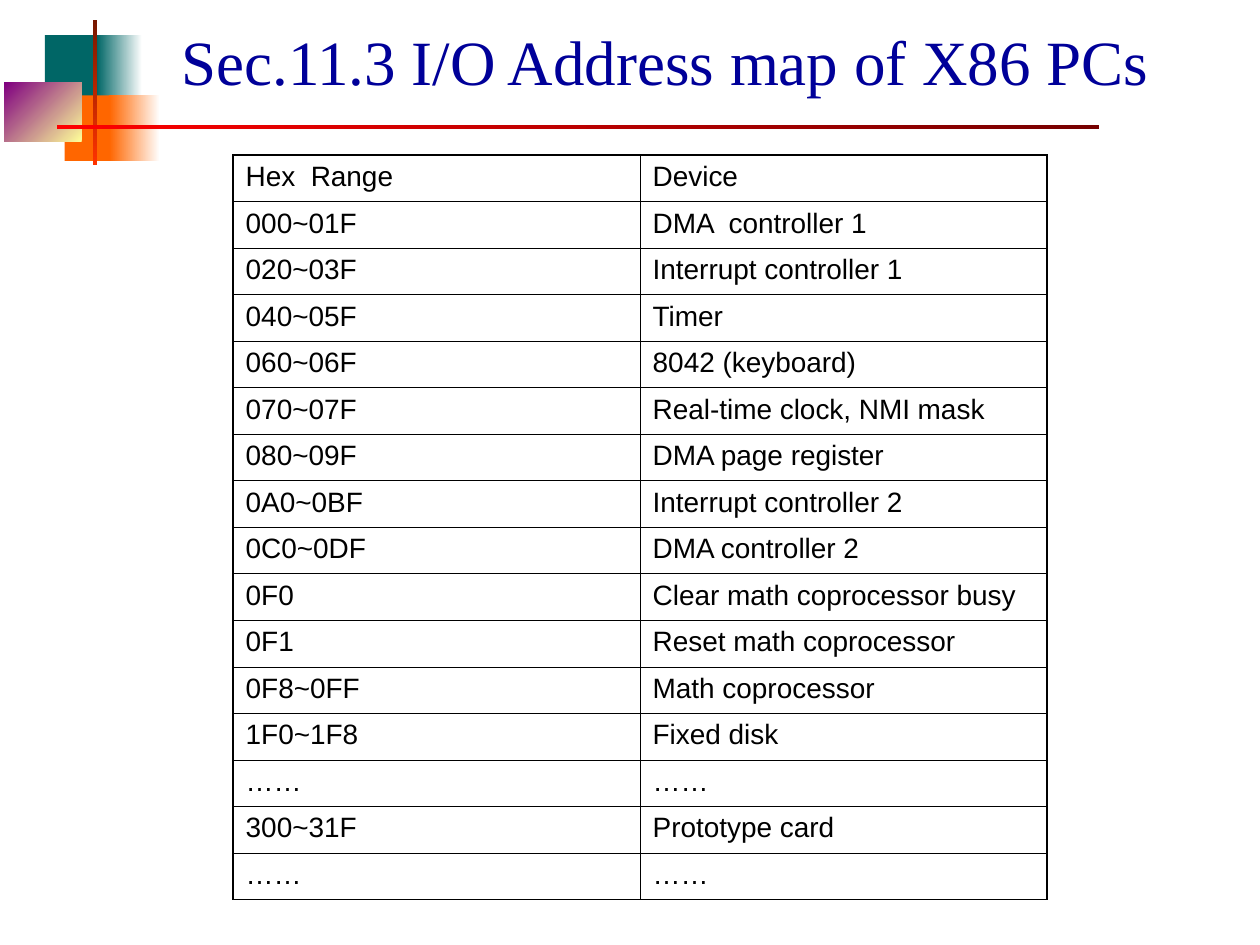
"""Build the slide showing the I/O address map of X86 PCs."""
from lxml.etree import SubElement
from pptx import Presentation
from pptx.dml.color import RGBColor
from pptx.enum.shapes import MSO_SHAPE
from pptx.enum.text import MSO_ANCHOR, PP_ALIGN
from pptx.oxml.ns import qn
from pptx.util import Pt

TITLE = "Sec.11.3 I/O Address map of X86 PCs"
ADDRESS_MAP = [
    ("Hex  Range", "Device"),
    ("000~01F", "DMA  controller 1"),
    ("020~03F", "Interrupt controller 1"),
    ("040~05F", "Timer"),
    ("060~06F", "8042 (keyboard)"),
    ("070~07F", "Real-time clock, NMI mask"),
    ("080~09F", "DMA page register"),
    ("0A0~0BF", "Interrupt controller 2"),
    ("0C0~0DF", "DMA controller 2"),
    ("0F0", "Clear math coprocessor busy"),
    ("0F1", "Reset math coprocessor"),
    ("0F8~0FF", "Math coprocessor"),
    ("1F0~1F8", "Fixed disk"),
    ("……", "……"),
    ("300~31F", "Prototype card"),
    ("……", "……"),
]
DECORATIONS = [
    ((25.6, 20, 34.6, 37.4), ["006666"], 0),
    ((55.4, 20, 25.9, 37.4), ["FFFFFF", "006666"], 180),
    ((37, 54.5, 33.1, 37.4), ["FF6600"], 0),
    ((62.6, 54.5, 28.8, 37.4), ["FFFFFF", "FF6600"], 180),
    ((2.5, 47.3, 44.2, 33.6), ["FFFF99", "800080"], 225),
    ((52.9, 11.5, 2.5, 82.8), ["761800", "FF3300"], 90),
    ((32.6, 71.2, 595.4, 2.7), ["FF0000", "760000"], 0),
]
TITLE_BOX = (71, 14.8, 618, 39.4)
TITLE_FONT = {"name": "Times New Roman", "size": Pt(36), "bold": False}
CELL_FONT = {"name": "Arial", "size": Pt(16), "bold": False}
TABLE_LEFT, TABLE_TOP = 133.2, 88.6
COLUMN_WIDTH, ROW_HEIGHT = 232.6, 26.6
OUTER_LINE, INNER_LINE = 1.08, 0.45


def color(hex_text):
    return RGBColor.from_string(hex_text)


def apply(target, values):
    for name, value in values.items():
        setattr(target, name, value)


def box(bounds):
    return dict(zip(("left", "top", "width", "height"), map(Pt, bounds)))


def add_decoration(slide, bounds, colors, angle):
    shape = slide.shapes.add_shape(MSO_SHAPE.RECTANGLE, **box(bounds))
    shape.shadow.inherit = False
    shape.line.fill.background()
    if len(colors) == 1:
        shape.fill.solid()
        shape.fill.fore_color.rgb = color(colors[0])
        return
    shape.fill.gradient()
    shape.fill.gradient_angle = (360 - angle) % 360
    for stop, hex_text in zip(shape.fill.gradient_stops, colors):
        stop.color.rgb = color(hex_text)


def add_border(cell, side, width):
    line = SubElement(cell._tc.get_or_add_tcPr(), qn(f"a:ln{side}"), w=str(Pt(width)))
    fill = SubElement(line, qn("a:solidFill"))
    SubElement(fill, qn("a:srgbClr"), val="000000")


def write_title(slide):
    title = slide.shapes.title
    slide.shapes._spTree.append(title._element)
    apply(title, box(TITLE_BOX))
    frame = title.text_frame
    frame.text = TITLE
    apply(frame, {"word_wrap": True, "vertical_anchor": MSO_ANCHOR.MIDDLE})
    paragraph = frame.paragraphs[0]
    paragraph.alignment = PP_ALIGN.CENTER
    font = paragraph.runs[0].font
    apply(font, TITLE_FONT)
    font.color.rgb = color("000099")


def add_address_table(slide):
    row_count, column_count = len(ADDRESS_MAP), len(ADDRESS_MAP[0])
    bounds = (TABLE_LEFT, TABLE_TOP, COLUMN_WIDTH * column_count, ROW_HEIGHT * row_count)
    table = slide.shapes.add_table(row_count, column_count, **box(bounds)).table
    apply(table, {"first_row": False, "horz_banding": False})
    for column in table.columns:
        column.width = Pt(COLUMN_WIDTH)
    for row_index, texts in enumerate(ADDRESS_MAP):
        table.rows[row_index].height = Pt(ROW_HEIGHT)
        for column_index, text in enumerate(texts):
            cell = table.cell(row_index, column_index)
            cell.text = text
            font = cell.text_frame.paragraphs[0].runs[0].font
            apply(font, CELL_FONT)
            font.color.rgb = color("000000")
            outer_sides = {
                "L": column_index == 0,
                "R": column_index == column_count - 1,
                "T": row_index == 0,
                "B": row_index == row_count - 1,
            }
            for side, is_outer in outer_sides.items():
                add_border(cell, side, OUTER_LINE if is_outer else INNER_LINE)
            cell.fill.background()


def main():
    presentation = Presentation()
    apply(presentation, {"slide_width": Pt(720), "slide_height": Pt(540)})
    slide = presentation.slides.add_slide(presentation.slide_layouts[5])
    for decoration in DECORATIONS:
        add_decoration(slide, *decoration)
    write_title(slide)
    add_address_table(slide)
    presentation.save("out.pptx")


if __name__ == "__main__":
    main()
